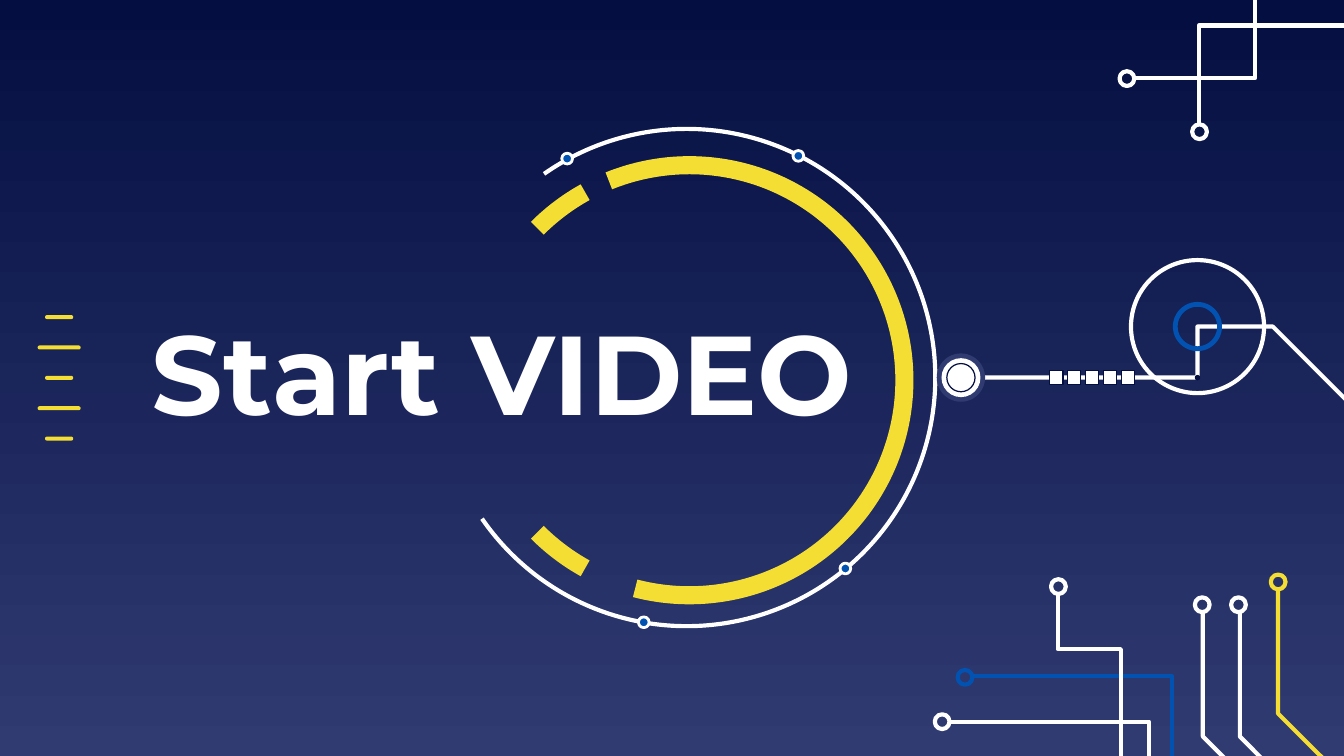
from typing import NamedTuple, Optional

from pptx import Presentation
from pptx.dml.color import RGBColor
from pptx.enum.shapes import MSO_SHAPE
from pptx.enum.text import MSO_ANCHOR, MSO_AUTO_SIZE, PP_ALIGN
from pptx.util import Inches, Pt

OVAL, ARC = MSO_SHAPE.OVAL, MSO_SHAPE.ARC
SQUARE, BAR = MSO_SHAPE.RECTANGLE, MSO_SHAPE.ROUNDED_RECTANGLE
MIDDLE, LEFT, NO_FIT = MSO_ANCHOR.MIDDLE, PP_ALIGN.LEFT, MSO_AUTO_SIZE.NONE
TITLE_ONLY = 5

COLORS = {"navy": "040E41", "indigo": "303B72", "blue": "0152B1",
          "yellow": "F5DE34", "white": "FFFFFF"}

# The slide is a grid of 1000 columns; rows have the same size
SLIDE_WIDTH = Inches(10)
SLIDE_HEIGHT = SLIDE_WIDTH * 9 // 16
CELL = SLIDE_WIDTH // 1000
TRACE_WIDTH = 2.25
PAD_SIZE, DOT_SIZE = 11, 8


class Trace(NamedTuple):
    """A circuit line, with a round pad at its start if one is given."""
    points: list
    color: str = "white"
    pad: Optional[tuple] = None


class Disc(NamedTuple):
    center: tuple
    size: float
    fill: Optional[str] = None
    line: Optional[str] = None
    width: float = TRACE_WIDTH


class Arc(NamedTuple):
    """A part of a circle, with clockwise angles from the right."""
    center: tuple
    radius: float
    start: float
    end: float
    color: str
    width: float


CIRCUITS = [
    Trace([(724, 503), (872, 503), (872, 624)], "blue", (718, 504)),
    Trace([(895, 455), (895, 548), (939, 592), (939, 665)], pad=(894.5, 450)),
    Trace([(922.5, 455), (922.5, 548), (966, 592), (966, 665)], pad=(921.5, 450)),
    Trace([(951, 438), (951, 531), (995, 575), (995, 648)], "yellow", (951, 433)),
    Trace([(845, 58), (934, 58), (934, -52)], pad=(838.5, 58.5)),
    Trace([(892, 93), (892, 19), (1011, 19), (1011, -52)], pad=(892.5, 98)),
    Trace([(707, 537), (855, 537), (855, 657)], pad=(701, 537)),
    Trace([(787, 442), (787, 483), (834, 483), (834, 594)], pad=(787.5, 436.5)),
]
SIGNAL = Trace([(1014, 310), (947, 243), (891, 243), (891, 281), (723, 281)])

GAUGE, ORBIT = (513, 283), (511, 281)
ARCS = [
    Arc(GAUGE, 160, 119, 135, "yellow", 9.69),
    Arc(GAUGE, 160, 248, 104.6, "yellow", 9.69),
    Arc(GAUGE, 160, 225, 241, "yellow", 9.69),
    Arc(ORBIT, 185, 235, 145.4, "white", TRACE_WIDTH),
]
ORBIT_DOTS = [(594, 116), (422, 118), (629, 423), (479, 463)]

HUB, SOCKET = (891, 243), (715, 281)
DISCS = [
    Disc((891, 281), 4, "navy"),
    Disc(HUB, 99, line="white"),
    Disc(HUB, 33, line="blue", width=2.57),
    Disc(SOCKET, 36, "indigo"),
    Disc(SOCKET, 29, "white"),
    Disc(SOCKET, 21, "white", "navy", 0.66),
]


def rgb(name: str) -> RGBColor:
    return RGBColor.from_string(COLORS[name])


def style(shape, fill: Optional[str], line: Optional[str], width: float) -> None:
    shape.shadow.inherit = False
    for target, color in ((shape.fill, fill), (shape.line.fill, line)):
        if color:
            target.solid()
            target.fore_color.rgb = rgb(color)
        else:
            target.background()
    if line:
        shape.line.width = Pt(width)


def add_centered(slide, kind, center: tuple, width: float, height: float,
                 fill=None, line=None, line_width: float = TRACE_WIDTH):
    x, y = center
    box = (x - width / 2, y - height / 2, width, height)
    shape = slide.shapes.add_shape(kind, *(round(value * CELL) for value in box))
    style(shape, fill, line, line_width)
    return shape


def draw_disc(slide, disc: Disc) -> None:
    add_centered(slide, OVAL, disc.center, disc.size, disc.size,
                 disc.fill, disc.line, disc.width)


def draw_trace(slide, trace: Trace) -> None:
    first, *rest = [(x * CELL, y * CELL) for x, y in trace.points]
    builder = slide.shapes.build_freeform(*first)
    builder.add_line_segments(rest, close=False)
    style(builder.convert_to_shape(), None, trace.color, TRACE_WIDTH)
    if trace.pad:
        draw_disc(slide, Disc(trace.pad, PAD_SIZE, line=trace.color))


def draw_arc(slide, arc: Arc) -> None:
    size = 2 * arc.radius
    shape = add_centered(slide, ARC, arc.center, size, size,
                         line=arc.color, line_width=arc.width)
    # Adjustments count 100000 units, angles 60000 units a degree
    for index, angle in enumerate((arc.start, arc.end)):
        shape.adjustments[index] = angle * 0.6


def set_title(slide, text: str) -> None:
    title = slide.shapes.title
    box = {"left": 103, "top": 170, "width": 564, "height": 212}
    for name, cells in box.items():
        setattr(title, name, cells * CELL)
    frame = title.text_frame
    frame.text = text
    frame_format = {"vertical_anchor": MIDDLE, "word_wrap": True, "auto_size": NO_FIT}
    for side in ("left", "top", "right", "bottom"):
        frame_format[f"margin_{side}"] = Inches(0.1)
    for name, value in frame_format.items():
        setattr(frame, name, value)
    paragraph = frame.paragraphs[0]
    paragraph.alignment = LEFT
    font = paragraph.runs[0].font
    for name, value in {"name": "Montserrat", "size": Pt(60), "bold": True}.items():
        setattr(font, name, value)
    font.color.rgb = rgb("white")


def main() -> None:
    presentation = Presentation()
    presentation.slide_width = SLIDE_WIDTH
    presentation.slide_height = SLIDE_HEIGHT
    slide = presentation.slides.add_slide(presentation.slide_layouts[TITLE_ONLY])

    # Background, dark at the top
    background = slide.background.fill
    background.gradient()
    background.gradient_angle = 270
    for stop, color in zip(background.gradient_stops, ("navy", "indigo")):
        stop.color.rgb = rgb(color)

    # Short and long dashes at the left edge
    for row in range(5):
        dash = add_centered(slide, BAR, (44, 236 + 22.6 * row),
                            32 if row % 2 else 21, 3, "yellow")
        dash.adjustments[0] = 0.5

    # Corner circuits
    for trace in CIRCUITS:
        draw_trace(slide, trace)

    set_title(slide, "Start VIDEO")

    # Gauge around the title
    for arc in ARCS:
        draw_arc(slide, arc)
    for center in ORBIT_DOTS:
        draw_disc(slide, Disc(center, DOT_SIZE, "blue", "white", 1.5))

    # Signal line from the socket through the hub
    draw_trace(slide, SIGNAL)
    for disc in DISCS:
        draw_disc(slide, disc)
    for column in range(5):
        add_centered(slide, SQUARE, (786 + 13.3 * column, 281), 10, 10,
                     "white", "navy", 0.66)

    presentation.save("out.pptx")


if __name__ == "__main__":
    main()
